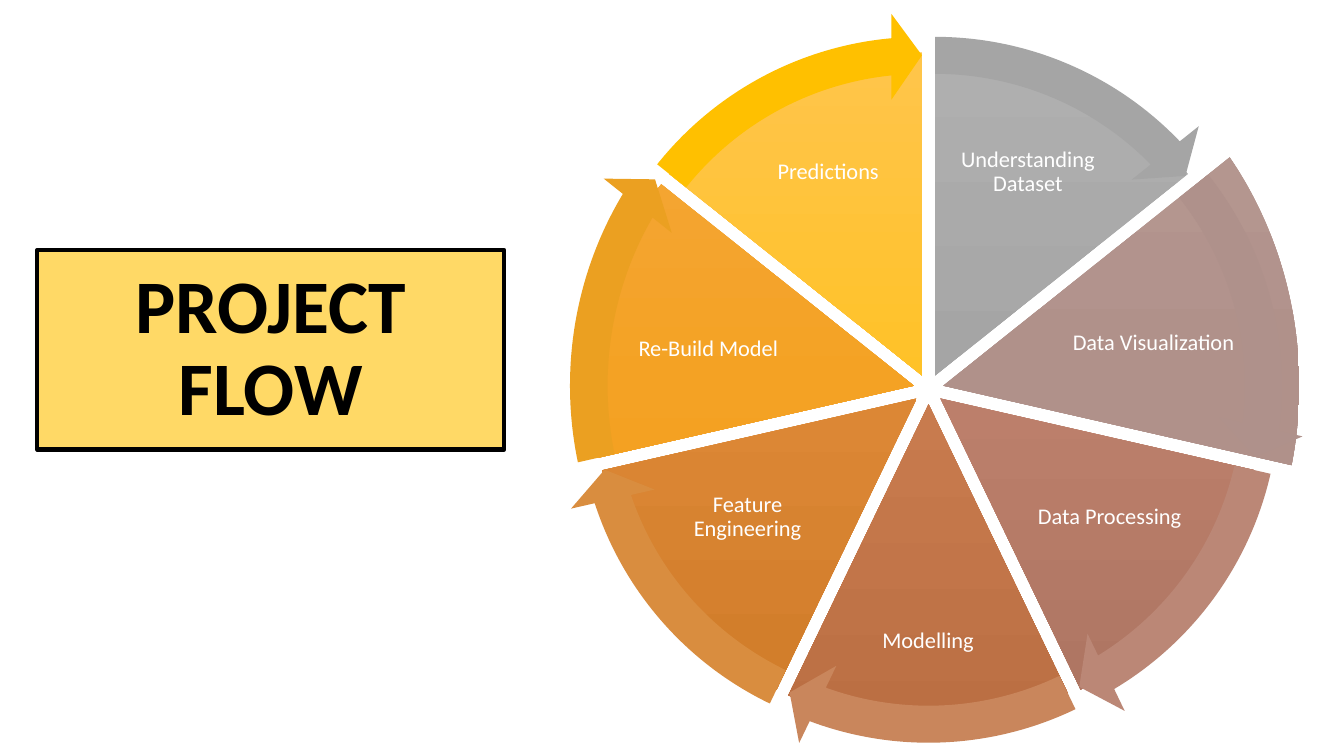
import copy
import math

from pptx import Presentation
from pptx.dml.color import RGBColor
from pptx.enum import shapes, text
from pptx.oxml import ns
from pptx.util import Inches, Pt

FONT = "Calibri"
BLACK = RGBColor(0, 0, 0)
WHITE = RGBColor(255, 255, 255)
TITLE_FILL = RGBColor(0xFF, 0xD9, 0x66)

CENTER_X, CENTER_Y = 9.21, 3.86
SPREAD = 0.15
ANGLE_UNIT = 0.6  # adjustment value of one degree
HEAD_ANGLE = 3.28
SLICE_SIZE = (6.41, 6.41)
ARROW_SIZE = (7.2, 7.2)

# label, label box, gradient from top to bottom, arrow colour
STEPS = [
    ("Understanding Dataset", (9.43, 1.1, 1.53, 1.22), ("AFAFAF", "A5A5A5", "A0A0A0"), "A5A5A5"),
    ("Data Visualization", (10.62, 2.77, 1.93, 1.27), ("B89B94", "B0918A", "AA8B84"), "AF918B"),
    ("Data Processing", (10.24, 4.54, 1.53, 1.18), ("C28773", "BC7F6B", "AD7562"), "BB8776"),
    ("Modelling", (8.46, 5.83, 1.49, 1.07), ("CF8458", "C87B4E", "BB6F43"), "C9865C"),
    ("Feature Engineering", (6.65, 4.54, 1.53, 1.18), ("E08F3C", "DC8735", "D07C29"), "D98D3F"),
    ("Re-Build Model", (6.15, 2.93, 1.75, 1.07), ("F4A73A", "F4A224", "F29D10"), "EBA021"),
    ("Predictions", (7.45, 1.1, 1.53, 1.22), ("FFC54B", "FFC228", "FFC000"), "FFC000"),
]
STEP_ANGLE = 360 / len(STEPS)
# the second slice and the sixth arrow are drawn larger
SLICE_SIZES = {1: (7.06, 7.63)}
ARROW_SIZES = {5: (7.31, 7.63)}


def add_text(frame, content, size, color, bold=False, align=text.PP_ALIGN.CENTER):
    frame.word_wrap = True
    frame.vertical_anchor = text.MSO_ANCHOR.MIDDLE
    para = frame.paragraphs[0]
    para.alignment = align
    para.line_spacing = 0.9
    span = para.add_run()
    span.text = content
    span.font.name = FONT
    span.font.size = Pt(size)
    span.font.bold = bold
    span.font.color.rgb = color


def add_title(page):
    box = page.shapes.add_shape(shapes.MSO_SHAPE.ROUNDED_RECTANGLE,
                                Inches(0.37), Inches(2.48), Inches(4.63), Inches(1.98))
    box.adjustments[0] = 0
    box.shadow.inherit = False
    box.fill.solid()
    box.fill.fore_color.rgb = TITLE_FILL
    box.line.color.rgb = BLACK
    box.line.width = Pt(3)
    add_text(box.text_frame, "PROJECT FLOW", 54, BLACK, bold=True)


def add_wheel_part(wheel, kind, index, size, adjustments):
    """Add a lineless shape whose centre is pushed outwards along its step's middle angle."""
    middle = math.radians(270 + (index + 0.5) * STEP_ANGLE)
    width, height = size
    left = CENTER_X + SPREAD * math.cos(middle) - width / 2
    top = CENTER_Y + SPREAD * math.sin(middle) - height / 2
    part = wheel.shapes.add_shape(kind, Inches(left), Inches(top), Inches(width), Inches(height))
    for number, value in enumerate(adjustments):
        part.adjustments[number] = value
    part.shadow.inherit = False
    part.line.fill.background()
    return part


def step_limits(index):
    """Return the start and end of a step as adjustment values."""
    return [(270 + number * STEP_ANGLE) % 360 * ANGLE_UNIT for number in (index, index + 1)]


def fill_gradient(shape, colors):
    """Fill from top to bottom with three evenly spaced colours."""
    shape.fill.gradient()
    shape.fill.gradient_angle = 270
    stop_list = shape.element.spPr.find(ns.qn("a:gradFill")).find(ns.qn("a:gsLst"))
    stop_list.insert(1, copy.deepcopy(stop_list[0]))
    for number, (stop, color) in enumerate(zip(shape.fill.gradient_stops, colors)):
        stop.position = number / 2
        stop.color.rgb = RGBColor.from_string(color)


def add_slice(wheel, index, colors):
    part = add_wheel_part(wheel, shapes.MSO_SHAPE.PIE, index,
                          SLICE_SIZES.get(index, SLICE_SIZE), step_limits(index))
    fill_gradient(part, colors)


def add_label(wheel, label, place, align):
    box = wheel.shapes.add_textbox(*(Inches(length) for length in place))
    frame = box.text_frame
    frame.margin_left = frame.margin_right = Inches(0.02)
    frame.margin_top = frame.margin_bottom = Inches(0.02)
    add_text(frame, label, 16, WHITE, align=align)


def add_arrow(wheel, index, color):
    start, end = step_limits(index)
    adjustments = (0.051, HEAD_ANGLE, end - HEAD_ANGLE, start, 0.059)
    part = add_wheel_part(wheel, shapes.MSO_SHAPE.CIRCULAR_ARROW, index,
                          ARROW_SIZES.get(index, ARROW_SIZE), adjustments)
    part.fill.solid()
    part.fill.fore_color.rgb = RGBColor.from_string(color)


def main():
    deck = Presentation()
    deck.slide_width, deck.slide_height = Inches(13.33), Inches(7.5)
    page = deck.slides.add_slide(deck.slide_layouts[6])
    add_title(page)
    wheel = page.shapes.add_group_shape()
    for index, (label, place, colors, _) in enumerate(STEPS):
        add_slice(wheel, index, colors)
        align = text.PP_ALIGN.LEFT if index == 1 else text.PP_ALIGN.CENTER
        add_label(wheel, label, place, align)
    for index, step in enumerate(STEPS):
        add_arrow(wheel, index, step[-1])
    deck.save("out.pptx")


if __name__ == "__main__":
    main()
